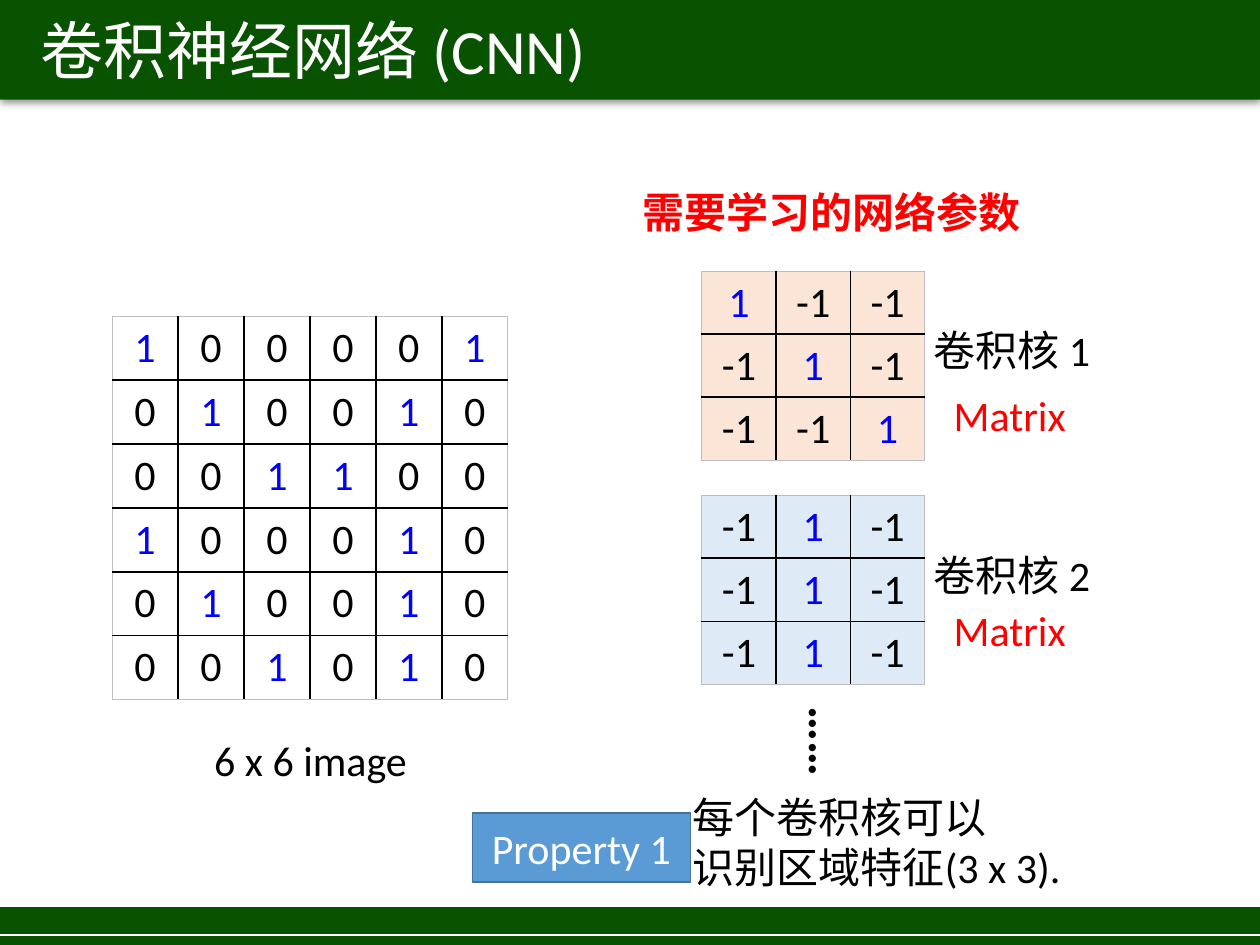
from dataclasses import dataclass
from lxml.etree import SubElement
from pptx import Presentation
from pptx.dml.color import RGBColor as Rgb
from pptx.enum.shapes import MSO_CONNECTOR as Conn, MSO_SHAPE as Shape
from pptx.enum.text import MSO_ANCHOR as Anchor, MSO_AUTO_SIZE as Fit, PP_ALIGN as Align
from pptx.oxml import parse_xml
from pptx.oxml.ns import nsdecls, qn
from pptx.util import Inches, Pt


@dataclass(frozen=True)
class Theme:
    """Colours, font and type sizes."""
    green: str = "095200"
    white: str = "FFFFFF"
    black: str = "000000"
    blue: str = "0000FF"
    red: str = "FF0000"
    peach: str = "FBE5D6"
    sky: str = "DEEBF7"
    tag: str = "5B9BD5"
    edge: str = "43739E"
    grey: str = "BFBFBF"
    font: str = "Calibri"
    head: int = 36
    dots: int = 28
    body: int = 24


T = Theme()
IMAGE = ["100001", "010010", "001100", "100010", "010010", "001010"]
DIAG = ["100", "010", "001"]
BAR = ["010"] * 3
SHADOW = """<a:effectLst %s><a:outerShdw blurRad="50800" dist="12700" dir="5400000"
 rotWithShape="0"><a:srgbClr val="000000"><a:alpha val="40000"/></a:srgbClr>
</a:outerShdw></a:effectLst>""" % nsdecls("a")


def style(para, color=T.black, size=T.body, bold=False, align=Align.LEFT):
    """Format one paragraph."""
    para.alignment = align
    font = para.font
    font.name, font.size, font.bold = T.font, Pt(size), bold
    font.color.rgb = Rgb.from_string(color)


def paint(shape, color):
    """Give a shape or cell a solid fill."""
    shape.fill.solid()
    shape.fill.fore_color.rgb = Rgb.from_string(color)


def label(slide, box, text, wrap=True, **look):
    """Add a text box with one style for all its lines."""
    shape = slide.shapes.add_textbox(*map(Inches, box))
    frame = shape.text_frame
    frame.word_wrap = wrap
    frame.text = text
    for para in frame.paragraphs:
        style(para, **look)
    return shape


def block(slide, box, color):
    """Add a plain filled rectangle."""
    shape = slide.shapes.add_shape(Shape.RECTANGLE, *map(Inches, box))
    shape.shadow.inherit = False
    paint(shape, color)
    shape.line.fill.background()
    return shape


def header(slide, box, text):
    """Turn the title placeholder into the top bar."""
    bar = slide.shapes.title
    bar.left, bar.top, bar.width, bar.height = map(Inches, box)
    paint(bar, T.green)
    bar._element.spPr.append(parse_xml(SHADOW))
    frame = bar.text_frame
    frame.text = text
    frame.auto_size = Fit.NONE
    frame.vertical_anchor = Anchor.MIDDLE
    frame.margin_left = Inches(0.32)
    style(frame.paragraphs[0], T.white, T.head)


def footer(slide, box):
    """Draw the bottom bar and its thin rule."""
    left, top, width, _ = box
    block(slide, box, T.green)
    y = Inches(top + 0.22)
    rule = slide.shapes.add_connector(
        Conn.STRAIGHT, Inches(left), y, Inches(left + width), y)
    rule.line.color.rgb = Rgb.from_string(T.white)
    rule.line.width = Pt(0.75)
    SubElement(rule._element.spPr, qn("a:effectLst"))


def borders(cell, outer):
    """Draw black inner edges and fine grey outer ones."""
    props = cell._tc.get_or_add_tcPr()
    for i, side in enumerate(("lnL", "lnR", "lnT", "lnB")):
        color, width = (T.grey, 0.5) if outer[side] else (T.black, 1)
        props.insert(i, parse_xml(
            f'<a:{side} {nsdecls("a")} w="{Pt(width)}"><a:solidFill>'
            f'<a:srgbClr val="{color}"/></a:solidFill></a:{side}>'))


def matrix(slide, box, rows, zero, fill=None):
    """Fill a square table, with its ones in blue."""
    n = len(rows)
    table = slide.shapes.add_table(n, n, *map(Inches, box)).table
    table.first_row = table.horz_banding = False
    for r, row in enumerate(rows):
        for c, mark in enumerate(row):
            cell = table.cell(r, c)
            one = mark == "1"
            cell.text = mark if one else zero
            style(cell.text_frame.paragraphs[0],
                  T.blue if one else T.black, align=Align.CENTER)
            if fill:
                paint(cell, fill)
            else:
                cell.fill.background()
            borders(cell, {"lnL": c == 0, "lnR": c == n - 1,
                           "lnT": r == 0, "lnB": r == n - 1})


def image(slide, box):
    """Place the input image and its caption."""
    left, top, _, _ = box
    matrix(slide, box, IMAGE, "0")
    label(slide, (left + 0.29, top + 3.27, 2.57, 0.5), "6 x 6 image",
          align=Align.CENTER)


def kernel(slide, box, rows, fill, name, drop):
    """Place a kernel with its two labels on the right."""
    left, top, _, _ = box
    matrix(slide, box, rows, "-1", fill)
    label(slide, (left + 1.67, top + 0.38, 1.58, 0.5), name, align=Align.CENTER)
    label(slide, (left + 1.9, top + drop, 1.12, 0.5), "Matrix", color=T.red)


def kernels(slide, box):
    """Stack the heading, both kernels and the dots."""
    left, top, _, _ = box
    label(slide, (left, top, 3.89, 0.5), "需要学习的网络参数",
          color=T.red, bold=True)
    x = left + 0.57
    kernel(slide, (x, top + 0.72, 1.77, 1.5), DIAG, T.peach, "卷积核 1", 0.89)
    kernel(slide, (x, top + 2.5, 1.77, 1.5), BAR, T.sky, "卷积核 2", 0.82)
    dots = label(slide, (left + 1.19, top + 4.18, 0.77, 0.57), "……",
                 wrap=False, size=T.dots, bold=True)
    dots.rotation = 90


def note(slide, box):
    """Place the property tag and its statement."""
    left, top, _, _ = box
    label(slide, (left + 1.65, top, 3.89, 0.91),
          "每个卷积核可以\n识别区域特征(3 x 3).")
    tag = block(slide, (left, top + 0.22, 1.73, 0.55), T.tag)
    tag.line.color.rgb = Rgb.from_string(T.edge)
    tag.line.width = Pt(1)
    frame = tag.text_frame
    frame.text = "Property 1"
    frame.vertical_anchor = Anchor.MIDDLE
    style(frame.paragraphs[0], T.white, align=Align.CENTER)


def main():
    """Build and save the slide."""
    deck = Presentation()
    deck.slide_width, deck.slide_height = Inches(10), Inches(7.5)
    slide = deck.slides.add_slide(deck.slide_layouts[5])
    header(slide, (0, -0.01, 10, 0.8), "卷积神经网络 (CNN)")
    footer(slide, (0, 7.2, 10, 0.3))
    image(slide, (0.89, 2.51, 3.14, 3))
    kernels(slide, (5, 1.43, 3.89, 4.75))
    note(slide, (3.75, 6.23, 5.54, 0.91))
    deck.save("out.pptx")


if __name__ == "__main__":
    main()
